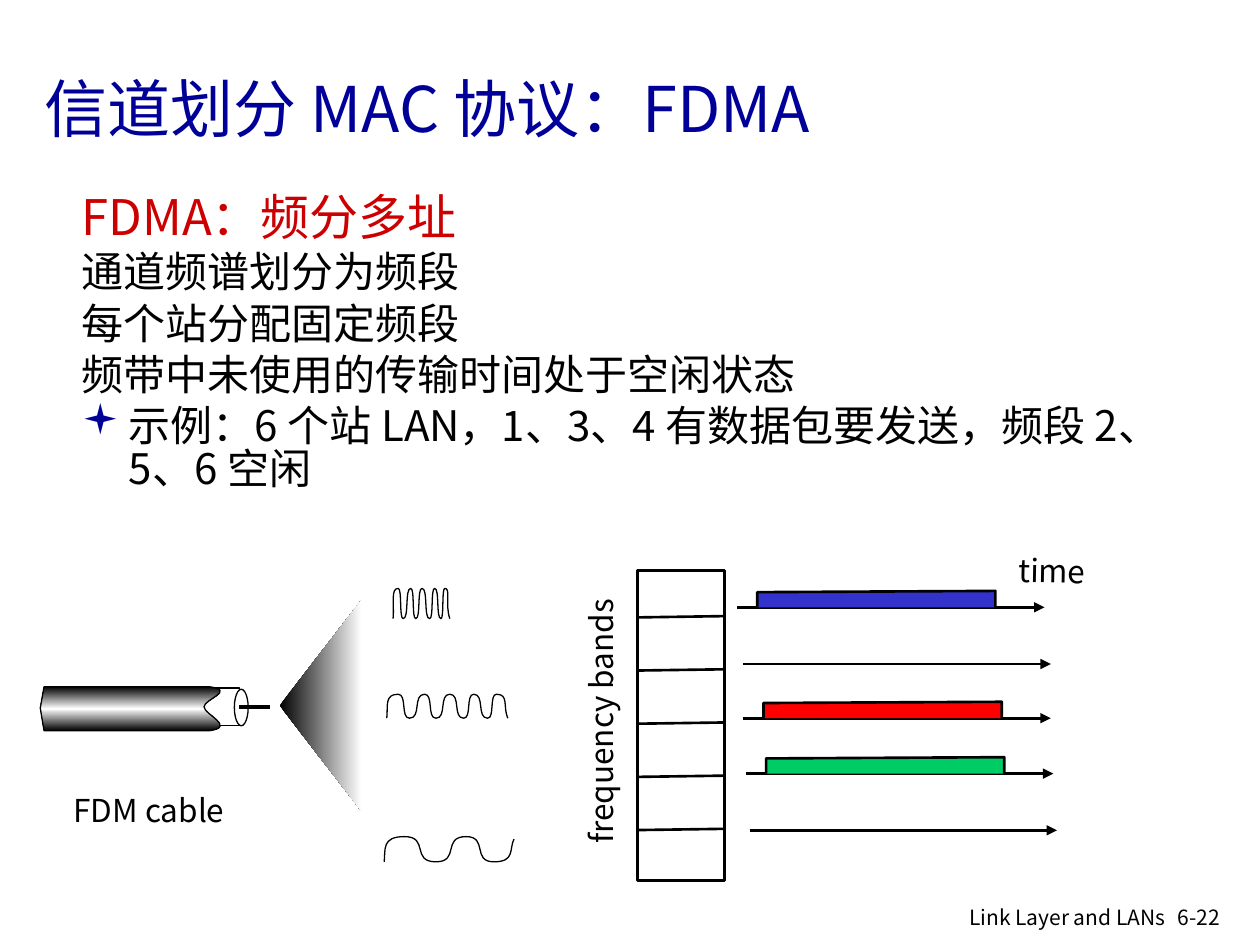
from dataclasses import dataclass

import pptx
import pptx.dml.color
import pptx.enum.shapes
import pptx.enum.text
import pptx.oxml
import pptx.oxml.ns
import pptx.util
from lxml import etree

SHAPE = pptx.enum.shapes.MSO_SHAPE
ALIGN = pptx.enum.text.PP_ALIGN
ANCHOR = pptx.enum.text.MSO_ANCHOR
qn = pptx.oxml.ns.qn


@dataclass(frozen=True)
class Theme:
    font: str = "Noto Sans CJK SC"
    black: str = "000000"
    white: str = "FFFFFF"
    navy: str = "000099"
    crimson: str = "CC0000"
    blue: str = "3333CC"
    red: str = "FF0000"
    green: str = "00CC66"
    title: int = 36
    heading: int = 28
    body: int = 24
    label: int = 18
    footer: int = 12
    thin: float = 0.75
    medium: float = 1.5
    thick: float = 2.25


def color(code):
    return pptx.dml.color.RGBColor.from_string(code)


class Painter:
    """Draws on one page, measured on a grid of 100 columns by 75 rows."""

    def __init__(self, deck, theme):
        self.theme = theme
        self.shapes = deck.slides.add_slide(deck.slide_layouts[6]).shapes
        self.column = deck.slide_width / 100
        self.row = deck.slide_height / 75

    def place(self, x, y):
        return round(x * self.column), round(y * self.row)

    def style(self, shape, fill=None, width=None):
        shape.shadow.inherit = False
        if fill:
            shape.fill.solid()
            shape.fill.fore_color.rgb = color(fill)
        else:
            shape.fill.background()
        if width:
            shape.line.color.rgb = color(self.theme.black)
            shape.line.width = pptx.util.Pt(width)
        else:
            shape.line.fill.background()
        return shape

    def preset(self, kind, left, top, width, height, line):
        shape = self.shapes.add_shape(kind, *self.place(left, top), *self.place(width, height))
        return self.style(shape, self.theme.white, line)

    def outline(self, start, segments, fill=None, width=None, close=False):
        """Each segment is one point for a line or three points for a cubic curve."""
        builder = self.shapes.build_freeform(*self.place(*start), scale=1.0)
        builder.add_line_segments([self.place(*point) for segment in segments
                                   for point in segment], close=close)
        shape = builder.convert_to_shape()
        steps = iter(list(shape.element.iter(qn("a:lnTo"))))
        for segment in segments:
            first, *others = [next(steps) for _ in segment]
            if others:
                curve = etree.Element(qn("a:cubicBezTo"))
                first.addprevious(curve)
                for step in (first, *others):
                    curve.append(step[0])
                    step.getparent().remove(step)
        return self.style(shape, fill, width)

    def gradient(self, shape, angle, *stops):
        """Spread the stop colours evenly, at a clockwise angle."""
        shape.fill.gradient()
        fill = shape.element.spPr.find(qn("a:gradFill"))
        for child in list(fill):
            fill.remove(child)
        holder = etree.SubElement(fill, qn("a:gsLst"))
        for index, code in enumerate(stops):
            stop = etree.SubElement(holder, qn("a:gs"),
                                    pos=str(100000 * index // (len(stops) - 1)))
            etree.SubElement(stop, qn("a:srgbClr"), val=code)
        etree.SubElement(fill, qn("a:lin"), ang=str(angle * 60000), scaled="0")

    def line(self, start, end, width, arrow=False):
        connector = self.shapes.add_connector(
            pptx.enum.shapes.MSO_CONNECTOR.STRAIGHT, *self.place(*start), *self.place(*end))
        connector.line.color.rgb = color(self.theme.black)
        connector.line.width = pptx.util.Pt(width)
        if arrow:
            etree.SubElement(connector.line._get_or_add_ln(), qn("a:tailEnd"), type="triangle")
        etree.SubElement(connector.element.spPr, qn("a:effectLst"))

    def wave(self, columns, top, bottom, end=None):
        """Swing from bottom to top and back, turning at each column."""
        heights = [top if index % 2 else bottom for index in range(len(columns))]
        heights[-1] = end or heights[-1]
        turns = list(zip(columns, heights))
        middle = (top + bottom) / 2
        segments = []
        for (x0, y0), (x1, y1) in zip(turns, turns[1:]):
            reach = 0.8 * (x1 - x0)
            segments.append([(x0 + reach, y0), (x1 - reach, y1), (x1, y1)])
        segments[0][:2] = [(columns[0] + 0.1, middle), (columns[0] - 0.2, top)]
        segments[-1][:2] = [(columns[-1] + 0.1, heights[-2]), (columns[-1] - 0.4, middle)]
        self.outline(turns[0], segments, width=self.theme.thin)

    def font(self, para, size, code):
        for span in para.runs:
            span.font.name = self.theme.font
            span.font.size = pptx.util.Pt(size)
            span.font.color.rgb = color(code)

    def text(self, content, left, top, width, height, size, code=None, wrap=True,
             align=ALIGN.LEFT, anchor=ANCHOR.TOP, rotation=0):
        box = self.shapes.add_textbox(*self.place(left, top), *self.place(width, height))
        box.rotation = rotation
        frame = box.text_frame
        frame.word_wrap = wrap
        frame.vertical_anchor = anchor
        frame.text = content
        for para in frame.paragraphs:
            para.alignment = align
            self.font(para, size, code or self.theme.black)
            for span in para.runs:
                etree.SubElement(span.font._element, qn("a:ea"), typeface=self.theme.font)
        return frame

    def hang(self, para, indent):
        properties = para._p.get_or_add_pPr()
        properties.set("marL", str(round(indent * self.column)))
        properties.set("indent", str(-round(indent * self.column)))
        return properties

    def space_before(self, para, percent):
        para.space_before = pptx.util.Pt(0)
        spacing = para._p.pPr.find(qn("a:spcBef"))
        spacing.remove(spacing[0])
        etree.SubElement(spacing, qn("a:spcPct"), val=str(percent * 1000))

    def bullet(self, properties):
        tint = etree.SubElement(properties, qn("a:buClr"))
        etree.SubElement(tint, qn("a:srgbClr"), val=self.theme.navy)
        etree.SubElement(properties, qn("a:buFont"), typeface="Wingdings")
        etree.SubElement(properties, qn("a:buChar"), char="▪")


def draw_text(painter, theme):
    frame = painter.text(
        "FDMA：频分多址\n通道频谱划分为频段\n每个站分配固定频段\n频带中未使用的传输时间处于空闲状态\n"
        "示例：6 个站 LAN，1、3、4 有数据包要发送，频段 2、5、6 空闲",
        5.5, 15, 89.9, 50.8, theme.body)
    heading, *points = frame.paragraphs
    painter.font(heading, theme.heading, theme.crimson)
    for para in frame.paragraphs:
        para.line_spacing = 0.85
        properties = painter.hang(para, 3.75)
    for para in points:
        painter.space_before(para, 20)
    painter.bullet(properties)
    painter.text("信道划分 MAC 协议：FDMA", 2.55, 2.3, 94.4, 12.5, theme.title, theme.navy,
                 anchor=ANCHOR.MIDDLE)
    painter.text("6-22", 92.5, 71.3, 6, 3, theme.footer)
    painter.text("Link Layer and LANs", 69.7, 71.3, 23.8, 2.6, theme.footer, align=ALIGN.RIGHT)


def draw_bands(painter, theme):
    painter.preset(SHAPE.RECTANGLE, 50.6, 45.3, 6.9, 24.6, theme.medium)
    for index in range(5):
        y = 49 + 4.22 * index
        painter.line((50.6, y), (57.5, y - 0.1), theme.medium)
    bands = [(58.5, 48.2, theme.blue), (59, 52.7, None), (59, 57, theme.red),
             (59.2, 61.4, theme.green), (59.5, 65.9, None)]
    for x, y, fill in bands:
        painter.line((x, y), (x + 24.4, y), theme.medium, arrow=True)
        if fill:
            left, right = x + 1.6, x + 20.5
            painter.outline((left, y), [[(left, y - 1.2)], [(right, y - 1.3)], [(right, y)]],
                            fill, theme.medium)
    painter.text("frequency bands", 36.65, 54.9, 22.1, 4, theme.label, wrap=False, rotation=270)
    painter.text("time", 79.85, 43.3, 7.4, 4, theme.label, wrap=False, rotation=1.1)


def draw_cable(painter, theme):
    cone = painter.outline((28.7, 47.6), [[(22.2, 56)], [(28.7, 64.4)]], close=True)
    painter.gradient(cone, 0, theme.black, theme.white)
    painter.preset(SHAPE.RECTANGLE, 16.1, 54.6, 2.9, 3, theme.thin)
    sheath = painter.outline(
        (3.5, 54.5),
        [[(3.2, 56.2)], [(3.5, 58)], [(16.6, 58)],
         [(18.8, 57.7), (16.2, 56.7), (16.2, 56.1)],
         [(16.2, 55.5), (18.8, 54.8), (16.6, 54.5)]],
        width=theme.thin, close=True)
    painter.gradient(sheath, 90, theme.black, theme.white, theme.black)
    painter.preset(SHAPE.OVAL, 18.6, 54.7, 1.1, 2.9, theme.thin)
    painter.line((19, 56.1), (21.4, 56.1), theme.thick)
    painter.text("FDM cable", 4.85, 62.3, 14.9, 4, theme.label, wrap=False)
    painter.wave([30.7, 31.6, 32.5, 33.7, 34.6, 35.7, 36.8, 37.6, 38.7, 39.4, 40.3], 55.1, 57)
    painter.wave([31.2, 31.6, 32, 32.6, 33, 33.5, 34.1, 34.5, 35, 35.3, 35.7], 46.7, 49.1)
    painter.wave([30.5, 32.1, 34.6, 37, 39.2, 40.8], 66.4, 68.4, end=66.6)


def main():
    deck = pptx.Presentation()
    deck.slide_width = pptx.util.Inches(10)
    deck.slide_height = pptx.util.Inches(7.5)
    theme = Theme()
    painter = Painter(deck, theme)
    for draw in (draw_text, draw_bands, draw_cable):
        draw(painter, theme)
    deck.save("out.pptx")


if __name__ == "__main__":
    main()
